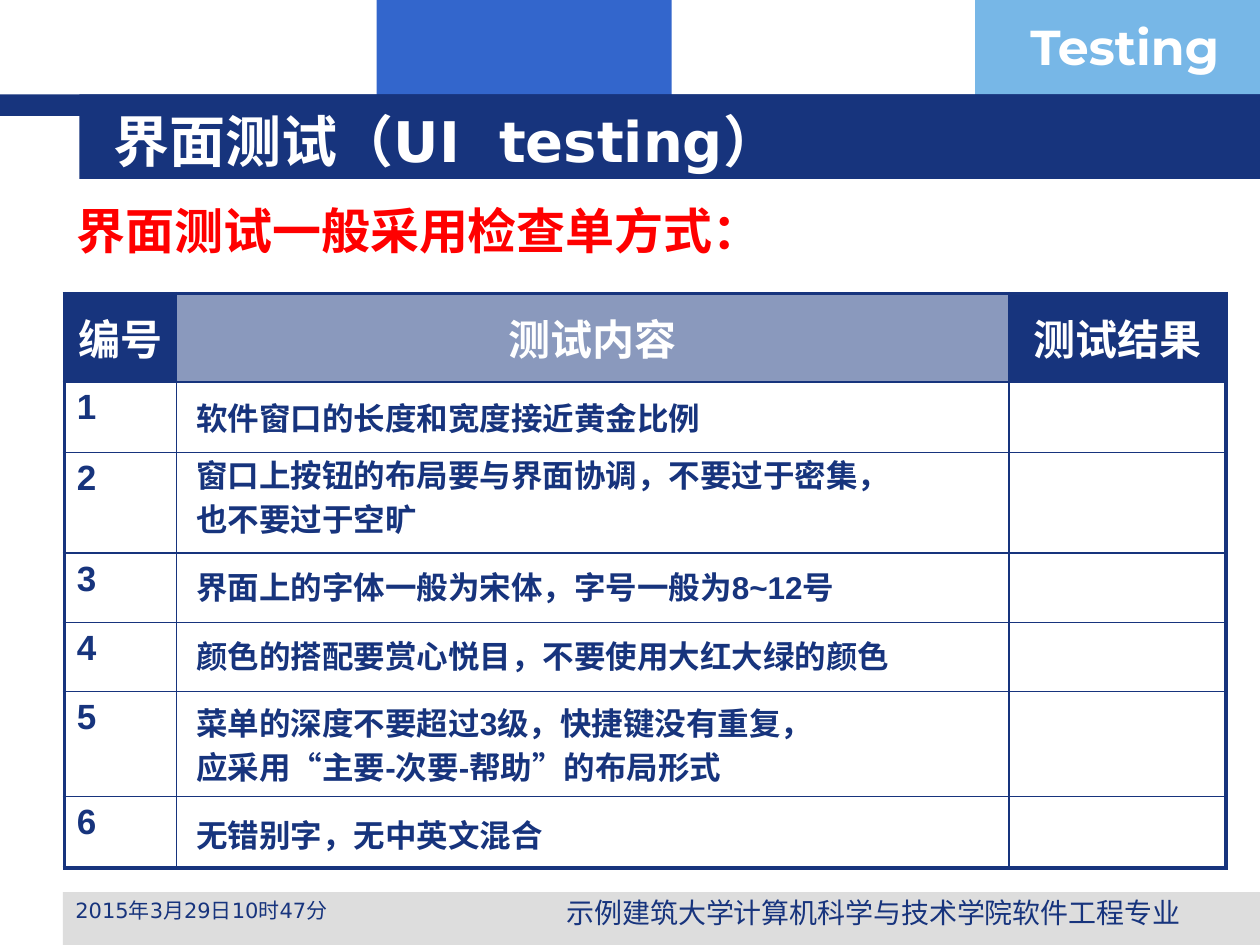
from lxml.etree import SubElement
from pptx import Presentation
from pptx.dml.color import RGBColor
from pptx.enum.shapes import MSO_SHAPE as Shape
from pptx.enum.text import MSO_ANCHOR as Anchor, MSO_AUTO_SIZE as AutoSize, PP_ALIGN as Align
from pptx.oxml import parse_xml
from pptx.oxml.ns import nsdecls, qn
from pptx.util import Inches, Pt

NAVY, BLUE, SKY, GREY, WHITE, RED = "17347D", "3366CC", "77B7E7", "DDDDDD", "FFFFFF", "FF0000"
THIN, THICK = 1, 2.25


def color(hex_string):
    return RGBColor.from_string(hex_string)


def write(frame, text, size=18, font="Arial", ink=NAVY, bold=False,
          align=Align.LEFT, anchor=Anchor.TOP, wrap=True, line_spacing=None):
    """Fill a text frame, one paragraph for each line of the text."""
    frame.word_wrap = wrap
    frame.vertical_anchor = anchor
    for i, line in enumerate(text.split("\n")):
        paragraph = frame.paragraphs[0] if i == 0 else frame.add_paragraph()
        paragraph.alignment = align
        paragraph.line_spacing = line_spacing
        if i:
            paragraph.space_before = Pt(size * 0.2)
        run = paragraph.add_run()
        run.text = line
        run.font.size, run.font.name, run.font.bold = Pt(size), font, bold
        run.font.color.rgb = color(ink)


class SlideBuilder:
    def __init__(self, slide, line_color=NAVY):
        self.slide = slide
        self.shapes = slide.shapes
        self.line_color = line_color

    def block(self, box, fill):
        block = self.shapes.add_shape(Shape.RECTANGLE, *map(Inches, box))
        block.shadow.inherit = False
        block.fill.solid()
        block.fill.fore_color.rgb = color(fill)
        block.line.fill.background()

    def label(self, box, text, **style):
        label = self.shapes.add_textbox(*map(Inches, box))
        write(label.text_frame, text, **style)

    def title(self, box, text, **style):
        title = self.shapes.title
        title.left, title.top, title.width, title.height = map(Inches, box)
        title.text_frame.auto_size = AutoSize.NONE
        write(title.text_frame, text, **style)
        # Bring the title in front of its band
        title._element.getparent().append(title._element)

    def borders(self, cell, **widths):
        properties = cell._tc.get_or_add_tcPr()
        for i, (side, width) in enumerate(widths.items()):
            properties.insert(i, parse_xml(
                f'<a:ln{side} {nsdecls("a")} w="{Pt(width)}"><a:solidFill>'
                f'<a:srgbClr val="{self.line_color}"/></a:solidFill></a:ln{side}>'))

    def cell_fill(self, cell, fill=None, alpha=100):
        if fill is None:
            cell.fill.background()
            return
        cell.fill.solid()
        cell.fill.fore_color.rgb = color(fill)
        if alpha < 100:
            tint = cell._tc.tcPr.find(".//" + qn("a:srgbClr"))
            SubElement(tint, qn("a:alpha"), val=str(alpha * 1000))

    def checklist(self, box, headings, widths, heights):
        last_row, last_col = len(heights) - 1, len(widths) - 1
        table = self.shapes.add_table(last_row + 1, last_col + 1, *map(Inches, box)).table
        table.horz_banding = False
        for column, width in zip(table.columns, widths):
            column.width = Inches(width)
        for r, height in enumerate(heights):
            table.rows[r].height = Inches(height)
            for c, heading in enumerate(headings):
                cell = table.cell(r, c)
                if r == 0:
                    self.cell_fill(cell, NAVY, alpha=50 if c == 1 else 100)
                    write(cell.text_frame, heading, size=24, ink=WHITE, bold=True,
                          align=Align.CENTER)
                    cell.vertical_anchor = Anchor.MIDDLE
                else:
                    self.cell_fill(cell)
                    if c == 0:
                        write(cell.text_frame, str(r), size=20, bold=True)
                self.borders(cell,
                             L=THICK if c == 0 else THIN,
                             R=THICK if c == last_col else THIN,
                             T=THICK if r == 0 else THIN,
                             B=THICK if r == last_row else THIN)


def main():
    deck = Presentation()
    deck.slide_width, deck.slide_height = Inches(10), Inches(7.5)
    page = SlideBuilder(deck.slides.add_slide(deck.slide_layouts[5]))

    # Header and footer bands
    page.block((2.99, 0, 2.34, 0.92), BLUE)
    page.block((7.74, 0, 2.26, 0.92), SKY)
    page.block((0.5, 7.08, 9.5, 0.42), GREY)
    page.block((0, 0.75, 10, 0.17), NAVY)
    page.block((0.63, 0.75, 9.37, 0.67), NAVY)
    page.label((8.08, 0.08, 1.93, 0.57), "Testing", size=28, font="Montserrat",
               ink=WHITE, bold=True)

    # Footer text
    page.label((0.5, 7.07, 3, 0.35), "2015年3月29日10时47分", size=12, font="DejaVu Sans")
    page.label((4.06, 7.06, 5.75, 0.31), "示例建筑大学计算机科学与技术学院软件工程专业",
               size=16, align=Align.CENTER)

    # Title and lead sentence
    page.title((0.8, 0.8, 8.53, 0.62), "界面测试（UI  testing）", size=32,
               font="DejaVu Sans", ink=WHITE, bold=True, anchor=Anchor.MIDDLE)
    page.label((0.51, 1.63, 7.57, 0.47), "界面测试一般采用检查单方式：", size=28,
               ink=RED, bold=True, line_spacing=0.8)

    # Checklist grid
    page.checklist((0.51, 2.33, 9.22, 4.56), ("编号", "测试内容", "测试结果"),
                   widths=(0.89, 6.61, 1.72),
                   heights=(0.7, 0.56, 0.8, 0.55, 0.55, 0.83, 0.57))

    # Checklist items, laid over the middle column
    items = (
        (3.12, 0.39, "软件窗口的长度和宽度接近黄金比例"),
        (3.67, 0.55, "窗口上按钮的布局要与界面协调，不要过于密集，\n也不要过于空旷"),
        (4.46, 0.39, "界面上的字体一般为宋体，字号一般为8~12号"),
        (5.01, 0.39, "颜色的搭配要赏心悦目，不要使用大红大绿的颜色"),
        (5.64, 0.55, "菜单的深度不要超过3级，快捷键没有重复，\n应采用“主要-次要-帮助”的布局形式"),
        (6.43, 0.39, "无错别字，无中英文混合"),
    )
    for top, height, item in items:
        page.label((1.46, top, 6.22, height), item, bold=True,
                   anchor=Anchor.MIDDLE, wrap=False)

    deck.save("out.pptx")


if __name__ == "__main__":
    main()
